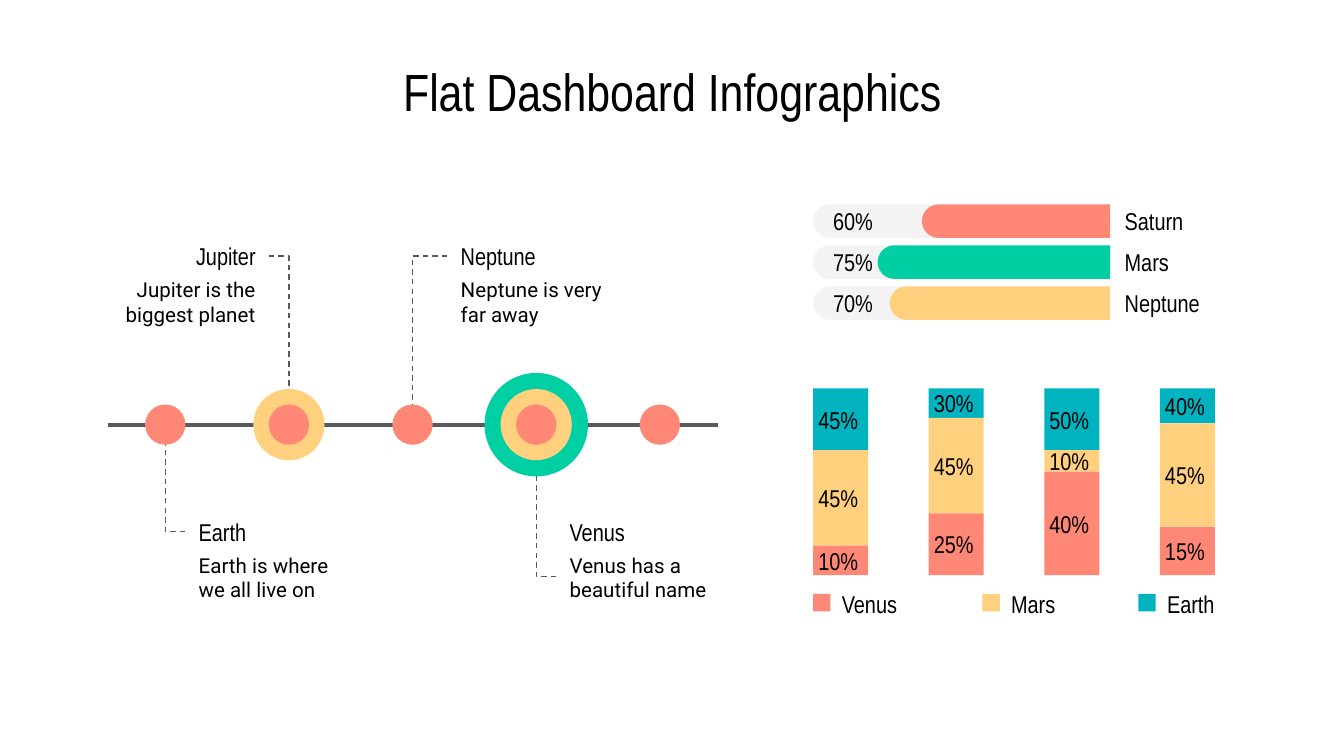
from dataclasses import dataclass

from lxml.etree import SubElement
from pptx import Presentation
from pptx.dml.color import RGBColor
from pptx.enum.dml import MSO_LINE
from pptx.enum.shapes import MSO_CONNECTOR, MSO_SHAPE
from pptx.enum.text import MSO_ANCHOR, MSO_AUTO_SIZE, PP_ALIGN
from pptx.oxml.ns import qn
from pptx.util import Inches, Pt


@dataclass(frozen=True)
class Theme:
    coral: str = "FF8775"
    sand: str = "FFD07E"
    green: str = "00CFA4"
    teal: str = "00B3BE"
    track: str = "F3F3F3"
    line: str = "595959"
    text: str = "000000"
    heading_font: str = "Arial Narrow"
    body_font: str = "Roboto"
    title_size: int = 28
    label_size: int = 13
    body_size: int = 11


@dataclass(frozen=True)
class Box:
    x: float
    y: float
    w: float
    h: float


THEME = Theme()
COLUMNS, ROWS = 100, 56.25
CELL = Inches(10) / COLUMNS


def grid(*cells):
    return [round(c * CELL) for c in cells]


def add_run(p, text, size, font):
    r = p.add_run()
    r.text = text
    r.font.size = Pt(size)
    r.font.name = font
    r.font.color.rgb = RGBColor.from_string(THEME.text)


def add_text(s, text, x, y, w, h, size=THEME.label_size,
             font=THEME.heading_font, align=PP_ALIGN.LEFT):
    tf = s.shapes.add_textbox(*grid(x, y, w, h)).text_frame
    tf.word_wrap = True
    tf.vertical_anchor = MSO_ANCHOR.MIDDLE
    tf.margin_left = tf.margin_right = tf.margin_top = tf.margin_bottom = Inches(0.1)
    p = tf.paragraphs[0]
    p.alignment = align
    add_run(p, text, size, font)


def add_filled(s, kind, color, x, y, w, h):
    sp = s.shapes.add_shape(kind, *grid(x, y, w, h))
    sp.shadow.inherit = False
    sp.fill.solid()
    sp.fill.fore_color.rgb = RGBColor.from_string(color)
    sp.line.fill.background()
    return sp


def add_line(s, kind, width, x1, y1, x2, y2):
    cn = s.shapes.add_connector(kind, *grid(x1, y1, x2, y2))
    cn.line.color.rgb = RGBColor.from_string(THEME.line)
    cn.line.width = Pt(width)
    SubElement(cn._element.spPr, qn("a:effectLst"))
    return cn


def add_elbow(s, x1, y1, x2, y2):
    cn = add_line(s, MSO_CONNECTOR.ELBOW, 0.75, x1, y1, x2, y2)
    cn.line.dash_style = MSO_LINE.DASH
    cn._element.spPr.find(qn("a:prstGeom")).set("prst", "bentConnector2")


def add_left_rounded(s, color, right, y, w, h):
    x = right - w / 2 - h / 2
    sp = add_filled(s, MSO_SHAPE.ROUND_2_SAME_RECTANGLE, color,
                    x, y + h / 2 - w / 2, h, w)
    sp.adjustments[0] = 0.5
    sp.adjustments[1] = 0
    sp.rotation = 270


def title(s, box, text):
    sp = s.shapes.title
    sp.left, sp.top, sp.width, sp.height = grid(box.x, box.y, box.w, box.h)
    tf = sp.text_frame
    tf.auto_size = MSO_AUTO_SIZE.NONE
    tf.vertical_anchor = MSO_ANCHOR.TOP
    tf.margin_left = tf.margin_right = tf.margin_top = tf.margin_bottom = Inches(0.1)
    p = tf.paragraphs[0]
    p.alignment = PP_ALIGN.CENTER
    add_run(p, text, THEME.title_size, THEME.heading_font)


def callout(s, x, edge, reach, top, pointer, heading, body):
    label_w, heading_h, body_h = 13.3, 2.7, 4.8
    end = x + reach
    left = end if reach > 0 else end - label_w
    align = PP_ALIGN.LEFT if reach > 0 else PP_ALIGN.RIGHT
    add_elbow(s, end, top + pointer, x, edge)
    add_text(s, heading, left, top, label_w, heading_h, align=align)
    add_text(s, body, left, top + 2.35, label_w, body_h,
             THEME.body_size, THEME.body_font, align)


def timeline(s, box, nodes):
    axis = box.y + 13.9
    step = 9.2
    sizes = (7.7, 5.3, 3)
    rings = (THEME.green, THEME.sand, THEME.coral)
    add_line(s, MSO_CONNECTOR.STRAIGHT, 2.25, box.x, axis, box.x + box.w, axis)
    for i, (count, note) in enumerate(nodes):
        x = box.x + 4.3 + i * step
        for d, color in list(zip(sizes, rings))[-count:]:
            add_filled(s, MSO_SHAPE.OVAL, color, x - d / 2, axis - d / 2, d, d)
        if note:
            above, reach, pointer, heading, body = note
            radius = sizes[-count] / 2
            edge = axis - radius if above else axis + radius
            top = box.y if above else box.y + 20.5
            callout(s, x, edge, reach, top, pointer, heading, body)


def progress_bars(s, box, bars):
    track_w, bar_h, step = 22.1, 2.5, 3.05
    right = box.x + track_w
    for i, (name, value, length, color) in enumerate(bars):
        y = box.y + i * step
        add_left_rounded(s, THEME.track, right, y, track_w, bar_h)
        add_left_rounded(s, color, right, y, length, bar_h)
        add_text(s, name, right + 0.1, y - 0.1, box.w - track_w, 2.7)
        add_text(s, value, box.x + 0.5, y - 0.1, 5.3, 2.7)


def stacked_columns(s, box, columns, legend):
    bar_w, label_w, label_h = 4.1, 5.3, 2.7
    step = (box.w - bar_w) / (len(columns) - 1)
    colors = (THEME.teal, THEME.sand, THEME.coral)
    for i, column in enumerate(columns):
        x, y = box.x + i * step, box.y
        for color, (value, h) in zip(colors, column):
            add_filled(s, MSO_SHAPE.RECTANGLE, color, x, y, bar_w, h)
            add_text(s, value, x + (bar_w - label_w) / 2,
                     y + (h - label_h) / 2, label_w, label_h)
            y += h
    for (name, offset), color in zip(legend, reversed(colors)):
        x = box.x + offset
        add_filled(s, MSO_SHAPE.RECTANGLE, color, x, box.y + 15.3, 1.3, 1.3)
        add_text(s, name, x + 1.15, box.y + 14.4, 7.5, 3.2)


def main():
    prs = Presentation()
    prs.slide_width, prs.slide_height = grid(COLUMNS, ROWS)
    s = prs.slides.add_slide(prs.slide_layouts[5])
    title(s, Box(4.5, 3.4, 91, 6.3), "Flat Dashboard Infographics")
    timeline(s, Box(8, 17.7, 45.4, 27.6), [
        (1, (False, 1.5, 1.35, "Earth", "Earth is where we all live on")),
        (2, (True, -1.5, 1.35, "Jupiter", "Jupiter is the biggest planet")),
        (1, (True, 2.6, 1.35, "Neptune", "Neptune is very far away")),
        (3, (False, 1.5, 4.7, "Venus", "Venus has a beautiful name")),
        (1, None),
    ])
    progress_bars(s, Box(60.5, 15.2, 31, 8.6), [
        ("Saturn", "60%", 14, THEME.coral),
        ("Mars", "75%", 17.3, THEME.green),
        ("Neptune", "70%", 16.4, THEME.sand),
    ])
    stacked_columns(s, Box(60.5, 28.9, 29.9, 17.6), [
        (("45%", 4.6), ("45%", 7.1), ("10%", 2.2)),
        (("30%", 2.2), ("45%", 7.1), ("25%", 4.6)),
        (("50%", 4.6), ("10%", 1.6), ("40%", 7.7)),
        (("40%", 2.6), ("45%", 7.7), ("15%", 3.6)),
    ], [("Venus", 0), ("Mars", 12.6), ("Earth", 24.2)])
    prs.save("out.pptx")


if __name__ == "__main__":
    main()
